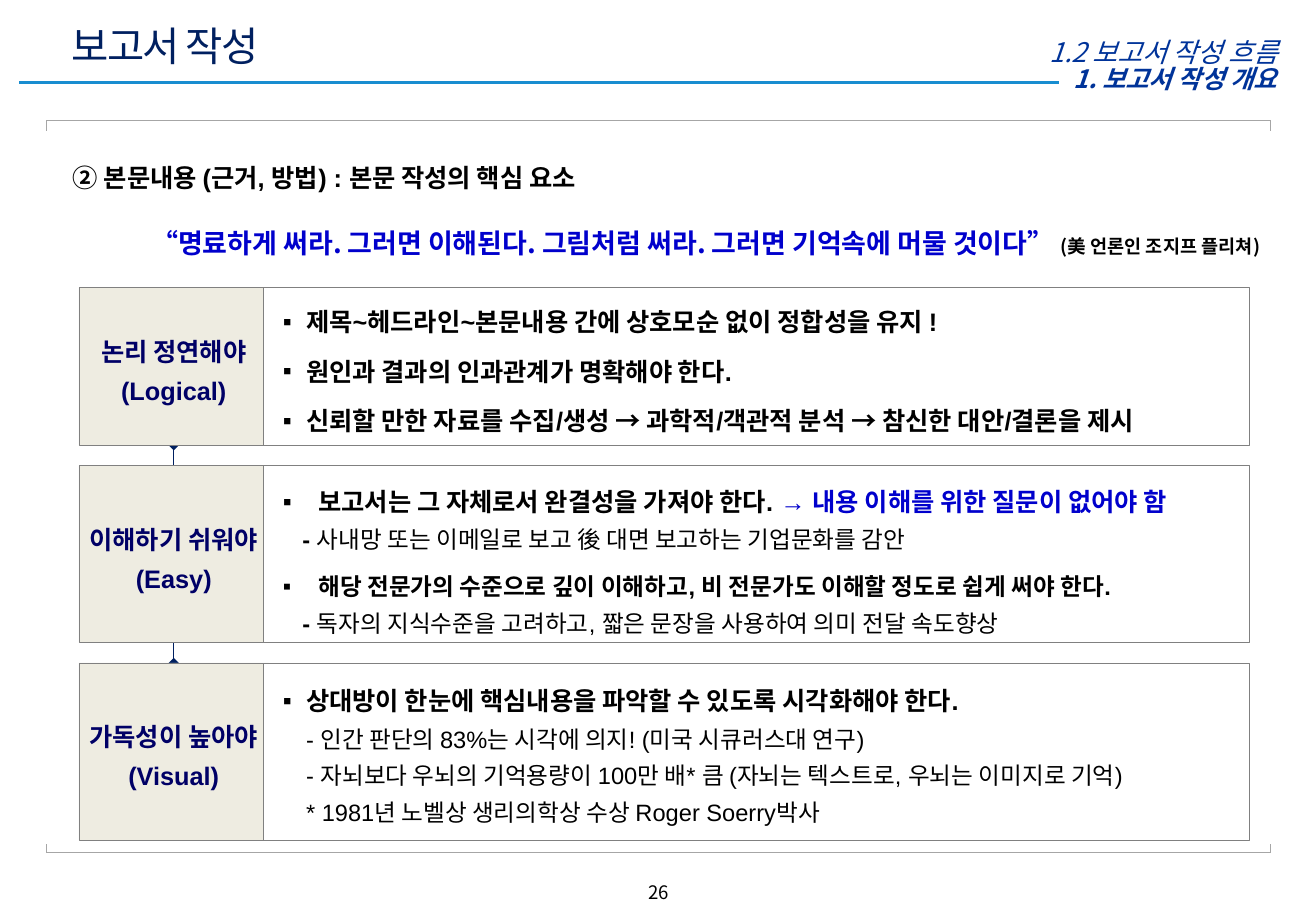
from dataclasses import dataclass

from lxml import etree
from pptx import Presentation
from pptx.dml.color import RGBColor
from pptx.enum.shapes import MSO_CONNECTOR, MSO_SHAPE
from pptx.enum.text import MSO_ANCHOR, PP_ALIGN
from pptx.oxml.ns import qn
from pptx.util import Pt

STRAIGHT = MSO_CONNECTOR.STRAIGHT
RECTANGLE = MSO_SHAPE.RECTANGLE
TOP, MIDDLE = MSO_ANCHOR.TOP, MSO_ANCHOR.MIDDLE
LEFT, CENTER, RIGHT = PP_ALIGN.LEFT, PP_ALIGN.CENTER, PP_ALIGN.RIGHT
TOP_SITE, BOTTOM_SITE = 0, 2


@dataclass(frozen=True)
class Theme:
    latin: str = "Arial"
    korean: str = "Noto Sans CJK KR"
    black: str = "000000"
    white: str = "FFFFFF"
    navy: str = "002060"
    header_blue: str = "003399"
    rule_blue: str = "188DD0"
    accent_blue: str = "0000CC"
    label_blue: str = "000066"
    label_fill: str = "EEECE1"
    border: str = "808080"
    bracket: str = "A6A6A6"
    title: float = 24
    large: float = 16
    body: float = 15
    detail: float = 14
    small: float = 11


THEME = Theme()


def add_run(paragraph, text, size=THEME.body, color=THEME.black, font=THEME.latin,
            bold=False, italic=False, spacing=None):
    run = paragraph.add_run()
    run.text = text
    run.font.size = Pt(size)
    run.font.bold = bold
    run.font.italic = italic
    run.font.color.rgb = RGBColor.from_string(color)
    run.font.name = font
    properties = run.font._element
    etree.SubElement(properties, qn("a:ea")).set("typeface", THEME.korean)
    if spacing is not None:
        properties.set("spc", str(int(spacing * 100)))


def write(frame, runs, align=LEFT, line_spacing=None, before=0, margin=0, bullet=False, **style):
    first = not frame.paragraphs[0].runs
    paragraph = frame.paragraphs[0] if first else frame.add_paragraph()
    properties = paragraph._p.get_or_add_pPr()
    properties.set("marL", str(Pt(margin)))
    properties.set("indent", str(Pt(-margin if bullet else 0)))
    if bullet:
        etree.SubElement(properties, qn("a:buFont")).set("typeface", THEME.latin)
        etree.SubElement(properties, qn("a:buChar")).set("char", "▪")
    else:
        etree.SubElement(properties, qn("a:buNone"))
    paragraph.alignment = align
    if line_spacing:
        paragraph.line_spacing = line_spacing
    if before and not first:
        paragraph.space_before = Pt(before)
    for text, changes in ([(runs, {})] if isinstance(runs, str) else runs):
        add_run(paragraph, text, **{**style, **changes})


class SlideBuilder:
    def __init__(self, slide, theme):
        self.slide = slide
        self.theme = theme

    def frame(self, shape, anchor, insets):
        frame = shape.text_frame
        frame.word_wrap = True
        frame.vertical_anchor = anchor
        frame.margin_left, frame.margin_right = Pt(insets[0]), Pt(insets[1])
        frame.margin_top = frame.margin_bottom = Pt(3.6)
        return frame

    def text_box(self, left, top, width, height, anchor=TOP):
        shape = self.slide.shapes.add_textbox(Pt(left), Pt(top), Pt(width), Pt(height))
        return self.frame(shape, anchor, (7.2, 7.2))

    def box(self, left, top, width, height, fill, border=None, anchor=MIDDLE, insets=(7.2, 7.2)):
        shape = self.slide.shapes.add_shape(RECTANGLE, Pt(left), Pt(top), Pt(width), Pt(height))
        shape.shadow.inherit = False
        shape.fill.solid()
        shape.fill.fore_color.rgb = RGBColor.from_string(fill)
        if border:
            shape.line.color.rgb = RGBColor.from_string(border)
            shape.line.width = Pt(0.5)
        else:
            shape.line.fill.background()
        self.frame(shape, anchor, insets)
        return shape

    def line(self, x1, y1, x2, y2, color, width=0.75, ends=None):
        connector = self.slide.shapes.add_connector(STRAIGHT, Pt(x1), Pt(y1), Pt(x2), Pt(y2))
        connector.line.color.rgb = RGBColor.from_string(color)
        connector.line.width = Pt(width)
        if ends:
            outline = connector.line._get_or_add_ln()
            for name in ("a:headEnd", "a:tailEnd"):
                etree.SubElement(outline, qn(name)).set("type", ends)
        etree.SubElement(connector._element.spPr, qn("a:effectLst"))
        return connector

    def bracket(self, edge, tick):
        left, right = 27.4, 753.1
        self.line(left, edge, right, edge, self.theme.bracket)
        for x in (left, right):
            self.line(x, edge, x, edge + tick, self.theme.bracket)

    def criterion(self, top, height, label_lines, points):
        theme = self.theme
        label = self.box(46.8, top, 112.4, height, theme.label_fill, theme.border, insets=(0, 0))
        for text in label_lines:
            write(label.text_frame, text, align=CENTER, line_spacing=1.3, bold=True,
                  color=theme.label_blue)
        content = self.box(156.2, top, 584.6, height, theme.white, theme.border,
                           insets=(11.5, 7.2))
        for runs, style in points:
            write(content.text_frame, runs, **style)
        return label


def build(presentation):
    theme = THEME
    slide = presentation.slides.add_slide(presentation.slide_layouts[6])
    builder = SlideBuilder(slide, theme)

    builder.line(11.5, 49, 762.5, 49, theme.rule_blue, 2)
    write(builder.text_box(316, 518.4, 148.4, 18), "26", align=CENTER,
          size=theme.small, font=theme.korean)
    chapter = builder.box(627.8, 37.4, 141.8, 18, theme.white, insets=(2.9, 7.2))
    write(chapter.text_frame, "1. 보고서 작성 개요", align=CENTER, font=theme.korean,
          color=theme.header_blue, bold=True, italic=True)
    builder.bracket(71.5, 6)
    builder.bracket(505.5, -5.4)

    write(builder.text_box(35.3, 13.7, 459.4, 26.6, MIDDLE), "보고서 작성",
          size=theme.title, font=theme.korean, color=theme.navy, spacing=-1)
    write(builder.text_box(514.8, 17.3, 249.8, 21.6), "1.2 보고서 작성 흐름", align=RIGHT,
          size=theme.large, font=theme.korean, color=theme.header_blue, italic=True)
    heading = builder.box(36, 92.9, 668.9, 28, theme.white, anchor=TOP)
    write(heading.text_frame, "② 본문내용 (근거, 방법) : 본문 작성의 핵심 요소", bold=True)
    write(builder.text_box(18.7, 131, 799.2, 26.6), [
        ("“명료하게 써라. 그러면 이해된다. 그림처럼 써라. 그러면 기억속에 머물 것이다” ",
         {"size": theme.large, "color": theme.accent_blue}),
        ("(美 언론인 조지프 플리쳐)", {"size": theme.small}),
    ], align=CENTER, font=theme.korean, bold=True)

    point = {"bullet": True, "margin": 13.7, "line_spacing": 1.3, "before": 6, "bold": True}
    wide_point = {**point, "margin": 21}
    detail = {"margin": 13.7, "line_spacing": 1.3, "size": theme.detail}
    dash_detail = {**detail, "margin": 11.5}
    dash = ("- ", {"bold": True})
    criteria = [
        (93.5, ["논리 정연해야", "(Logical)"], [
            ("제목~헤드라인~본문내용 간에 상호모순 없이 정합성을 유지 !", point),
            ("원인과 결과의 인과관계가 명확해야 한다.", point),
            ("신뢰할 만한 자료를 수집/생성 → 과학적/객관적 분석 → 참신한 대안/결론을 제시", point),
        ]),
        (105, ["이해하기 쉬워야", "(Easy)"], [
            ([("보고서는 그 자체로서 완결성을 가져야 한다. ", {}),
              ("→ 내용 이해를 위한 질문이 없어야 함", {"color": theme.accent_blue})],
             {**wide_point, "line_spacing": 1.5}),
            ([dash, ("사내망 또는 이메일로 보고 後 대면 보고하는 기업문화를 감안", {})], dash_detail),
            ("해당 전문가의 수준으로 깊이 이해하고, 비 전문가도 이해할 정도로 쉽게 써야 한다.",
             {**wide_point, "size": theme.detail}),
            ([dash, ("독자의 지식수준을 고려하고, 짧은 문장을 사용하여 의미 전달 속도향상", {})],
             dash_detail),
        ]),
        (105, ["가독성이 높아야", "(Visual)"], [
            ("상대방이 한눈에 핵심내용을 파악할 수 있도록 시각화해야 한다.", point),
            ("- 인간 판단의 83%는 시각에 의지! (미국 시큐러스대 연구)", detail),
            ("- 자뇌보다 우뇌의 기억용량이 100만 배* 큼 (자뇌는 텍스트로, 우뇌는 이미지로 기억)", detail),
            ("* 1981년 노벨상 생리의학상 수상 Roger Soerry박사", detail),
        ]),
    ]
    link = builder.line(103, 264, 103, 393, theme.navy, ends="diamond")
    top, gap = 170.5, 12
    labels = []
    for height, label_lines, points in criteria:
        labels.append(builder.criterion(top, height, label_lines, points))
        top += height + gap
    link.begin_connect(labels[0], BOTTOM_SITE)
    link.end_connect(labels[-1], TOP_SITE)


def main():
    presentation = Presentation()
    presentation.slide_width, presentation.slide_height = Pt(780), Pt(540)
    build(presentation)
    presentation.save("out.pptx")


if __name__ == "__main__":
    main()
